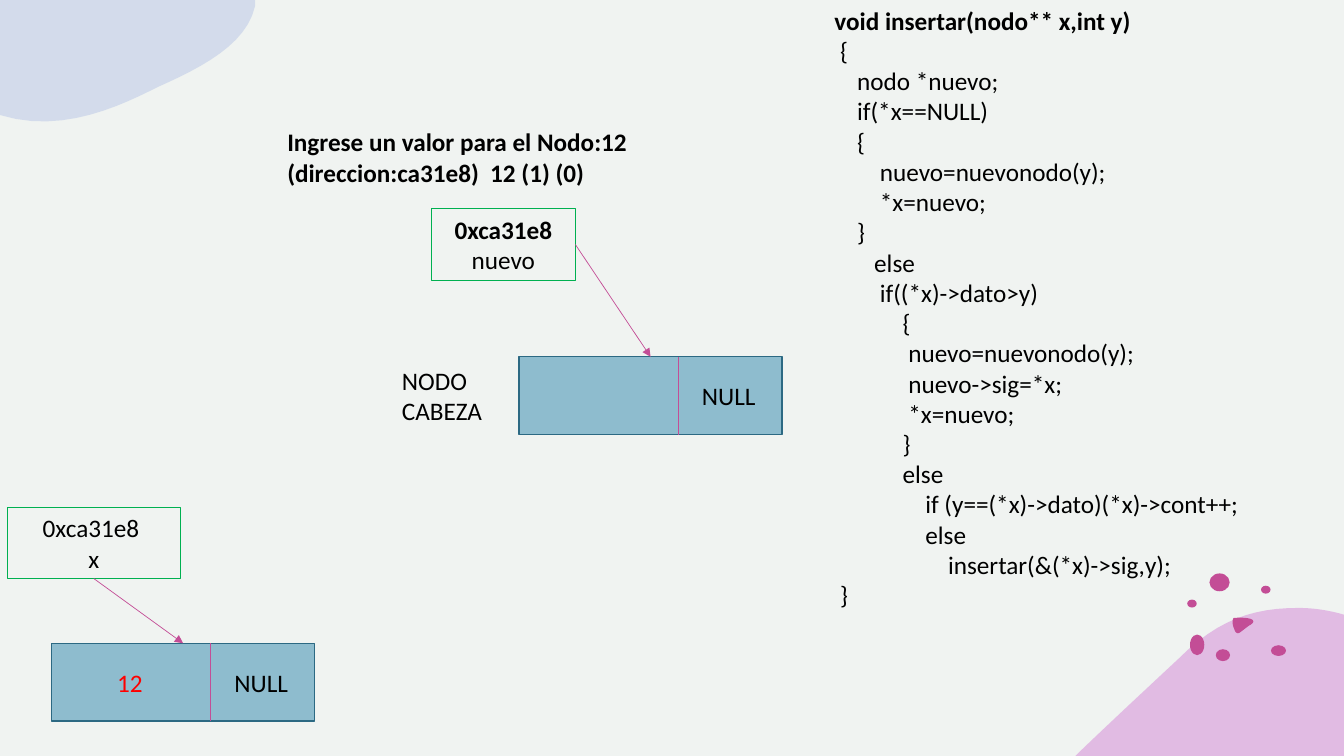
"""Build the slide that shows the first insertion into a linked list."""
from dataclasses import dataclass
from typing import Optional

import lxml.etree
import pptx
import pptx.dml.color
import pptx.enum.shapes
import pptx.enum.text
import pptx.oxml.ns
import pptx.shapes.autoshape
import pptx.shapes.connector
import pptx.slide
import pptx.text.text
import pptx.util

Cm = pptx.util.Cm
qn = pptx.oxml.ns.qn
MSO_SHAPE = pptx.enum.shapes.MSO_SHAPE


@dataclass(frozen=True)
class Theme:
    font: str = "Calibri"
    size: float = 18
    background: str = "F0F3F1"
    text: str = "000000"
    value: str = "FF0000"
    accent: str = "C34D96"
    hill: str = "D384D6"
    cloud: str = "B8C5E7"
    node: str = "3B8EB1"
    node_line: str = "2C6983"
    pointer_line: str = "00B050"
    thin: float = 0.5
    medium: float = 0.75
    thick: float = 1


@dataclass(frozen=True)
class Run:
    text: str
    bold: bool = False
    color: str = Theme.text


@dataclass(frozen=True)
class Box:
    left: float
    top: float
    width: float
    height: float


@dataclass(frozen=True)
class Label:
    box: Box
    lines: list[list[Run]]


@dataclass(frozen=True)
class Node:
    left: float
    top: float
    value: Optional[str] = None


@dataclass(frozen=True)
class Link:
    pointer: Label
    side: int
    node: Node


@dataclass(frozen=True)
class Blob:
    """An outline in centimetres: a start, cubic curves, then straight corners."""
    start: tuple[float, float]
    curves: list[tuple[float, ...]]
    corners: tuple[tuple[float, float], ...] = ()
    color: str = Theme.accent
    alpha: int = 100


T = Theme()
WIDTH, HEIGHT = 33.87, 19.05
STEPS = 12
NODE_W, NODE_H, DIVIDER = 6.63, 1.96, 4.01

BLOBS = [
    Blob((27.1, HEIGHT), [(27.99, 18.19, 28.88, 17.37, 29.69, 16.61),
                          (30.7, 15.6, 31.6, 15.32, 32.72, 15.32),
                          (33.1, 15.32, 33.5, 15.38, WIDTH, 15.49)],
         ((WIDTH, HEIGHT),), T.hill, 50),
    Blob((31.09, 15.57), [(31.65, 15.54, 31.67, 15.67, 31.47, 15.77),
                          (31.19, 15.98, 31.22, 15.98, 31.14, 15.93),
                          (31.06, 15.77, 31.04, 15.65, 31.09, 15.57)]),
    Blob((6.43, 0.15), [(6.22, 1.12, 5.08, 1.7, 4.01, 2.18),
                        (3.12, 2.62, 1.6, 3.4, 0, 2.9)],
         ((0, 0), (6.43, 0)), T.cloud, 50),
]

SPECKS = [Box(30.64, 16.36, 0.36, 0.3), Box(29.99, 15.99, 0.36, 0.52), Box(32.03, 16.26, 0.38, 0.27),
          Box(30.48, 14.45, 0.51, 0.45), Box(31.78, 14.76, 0.24, 0.2), Box(29.92, 15.11, 0.24, 0.2)]

CODE = """void insertar(nodo** x,int y)
 {
    nodo *nuevo;
    if(*x==NULL)
    {
        nuevo=nuevonodo(y);
        *x=nuevo;
    }
       else
        if((*x)->dato>y)
            {
             nuevo=nuevonodo(y);
             nuevo->sig=*x;
             *x=nuevo;
            }
            else
                if (y==(*x)->dato)(*x)->cont++;
                else
                    insertar(&(*x)->sig,y);
 }""".split("\n")

LABELS = [
    Label(Box(20.78, 0, 12.88, 15.65), [[Run(line, i == 0)] for i, line in enumerate(CODE)]),
    Label(Box(9.88, 9.07, 3.53, 1.8), [[Run("NODO CABEZA")]]),
    Label(Box(6.99, 3.07, 11.43, 1.8), [[Run("Ingrese un valor para el Nodo:12", True)],
                                        [Run("(direccion:ca31e8)  12 (1) (0)", True)]]),
]

LINKS = [
    Link(Label(Box(10.87, 5.26, 3.63, 1.8), [[Run("0xca31e8", True), Run(" nuevo")]]),
         3, Node(13.08, 8.99)),
    Link(Label(Box(0.18, 12.78, 4.37, 1.8), [[Run("0xca31e8 ")], [Run("x")]]),
         2, Node(1.3, 16.21, "12")),
]


def rgb(color: str) -> pptx.dml.color.RGBColor:
    return pptx.dml.color.RGBColor.from_string(color)


def paint(sp: pptx.shapes.autoshape.Shape, color: str, alpha: int = 100) -> None:
    sp.fill.solid()
    sp.fill.fore_color.rgb = rgb(color)
    clr = sp.element.spPr.find(qn("a:solidFill")).find(qn("a:srgbClr"))
    lxml.etree.SubElement(clr, qn("a:alpha"), val=str(alpha * 1000))


def write(tf: pptx.text.text.TextFrame, lines: list[list[Run]], centred: bool = False) -> None:
    align = pptx.enum.text.PP_ALIGN
    tf.word_wrap = True
    for i, line in enumerate(lines):
        p = tf.add_paragraph() if i else tf.paragraphs[0]
        p.alignment = align.CENTER if centred else align.LEFT
        for run in line:
            r = p.add_run()
            r.text = run.text
            r.font.name, r.font.size = T.font, pptx.util.Pt(T.size)
            r.font.bold, r.font.color.rgb = run.bold, rgb(run.color)


def add_label(s: pptx.slide.Slide, label: Label) -> None:
    b = label.box
    sp = s.shapes.add_textbox(Cm(b.left), Cm(b.top), Cm(b.width), Cm(b.height))
    write(sp.text_frame, label.lines)


def add_preset(s: pptx.slide.Slide, kind: MSO_SHAPE, b: Box) -> pptx.shapes.autoshape.Shape:
    sp = s.shapes.add_shape(kind, Cm(b.left), Cm(b.top), Cm(b.width), Cm(b.height))
    sp.shadow.inherit = False
    return sp


def add_rect(s: pptx.slide.Slide, b: Box, line: str, width: float) -> pptx.shapes.autoshape.Shape:
    sp = add_preset(s, MSO_SHAPE.RECTANGLE, b)
    sp.fill.background()
    sp.line.color.rgb, sp.line.width = rgb(line), pptx.util.Pt(width)
    return sp


def add_speck(s: pptx.slide.Slide, b: Box) -> None:
    sp = add_preset(s, MSO_SHAPE.OVAL, b)
    paint(sp, T.accent)
    sp.line.fill.background()


def add_line(s: pptx.slide.Slide, x: float = 0, top: float = 0,
             bottom: float = 0) -> pptx.shapes.connector.Connector:
    c = s.shapes.add_connector(pptx.enum.shapes.MSO_CONNECTOR.STRAIGHT,
                               Cm(x), Cm(top), Cm(x), Cm(bottom))
    c.line.color.rgb, c.line.width = rgb(T.accent), pptx.util.Pt(T.thin)
    lxml.etree.SubElement(c.element.spPr, qn("a:effectLst"))
    return c


def add_node(s: pptx.slide.Slide, node: Node) -> pptx.shapes.autoshape.Shape:
    sp = add_rect(s, Box(node.left, node.top, NODE_W, NODE_H), T.node_line, T.thick)
    paint(sp, T.node, 54)
    add_line(s, node.left + DIVIDER, node.top, node.top + NODE_H)
    top = node.top + 0.47
    if node.value:
        add_label(s, Label(Box(node.left + 1.4, top, 2.59, 1.03),
                           [[Run(node.value, color=T.value)]]))
    add_label(s, Label(Box(node.left + 4.36, top, 2.28, 1.03), [[Run("NULL")]]))
    return sp


def add_link(s: pptx.slide.Slide, link: Link) -> None:
    node = add_node(s, link.node)
    pointer = add_rect(s, link.pointer.box, T.pointer_line, T.medium)
    write(pointer.text_frame, link.pointer.lines, centred=True)
    c = add_line(s)
    c.begin_connect(pointer, link.side)
    c.end_connect(node, 0)
    lxml.etree.SubElement(c.element.spPr.find(qn("a:ln")), qn("a:tailEnd"), type="triangle")


def add_blob(s: pptx.slide.Slide, blob: Blob) -> None:
    pts: list[tuple[float, float]] = [blob.start]
    for x1, y1, x2, y2, x3, y3 in blob.curves:
        x0, y0 = pts[-1]
        for t in (i / STEPS for i in range(1, STEPS + 1)):
            a, b, c, d = (1 - t) ** 3, 3 * t * (1 - t) ** 2, 3 * t * t * (1 - t), t ** 3
            pts.append((a * x0 + b * x1 + c * x2 + d * x3, a * y0 + b * y1 + c * y2 + d * y3))
    pts.extend(blob.corners)
    emu = [(Cm(x), Cm(y)) for x, y in pts]
    fb = s.shapes.build_freeform(*emu[0])
    fb.add_line_segments(emu[1:], close=True)
    sp = fb.convert_to_shape()
    sp.shadow.inherit = False
    paint(sp, blob.color, blob.alpha)
    sp.line.fill.background()


def main() -> None:
    prs = pptx.Presentation()
    prs.slide_width, prs.slide_height = Cm(WIDTH), Cm(HEIGHT)
    s = prs.slides.add_slide(prs.slide_layouts[6])
    s.background.fill.solid()
    s.background.fill.fore_color.rgb = rgb(T.background)
    for add, items in ((add_blob, BLOBS), (add_speck, SPECKS), (add_label, LABELS), (add_link, LINKS)):
        for item in items:
            add(s, item)
    prs.save("out.pptx")


if __name__ == "__main__":
    main()
